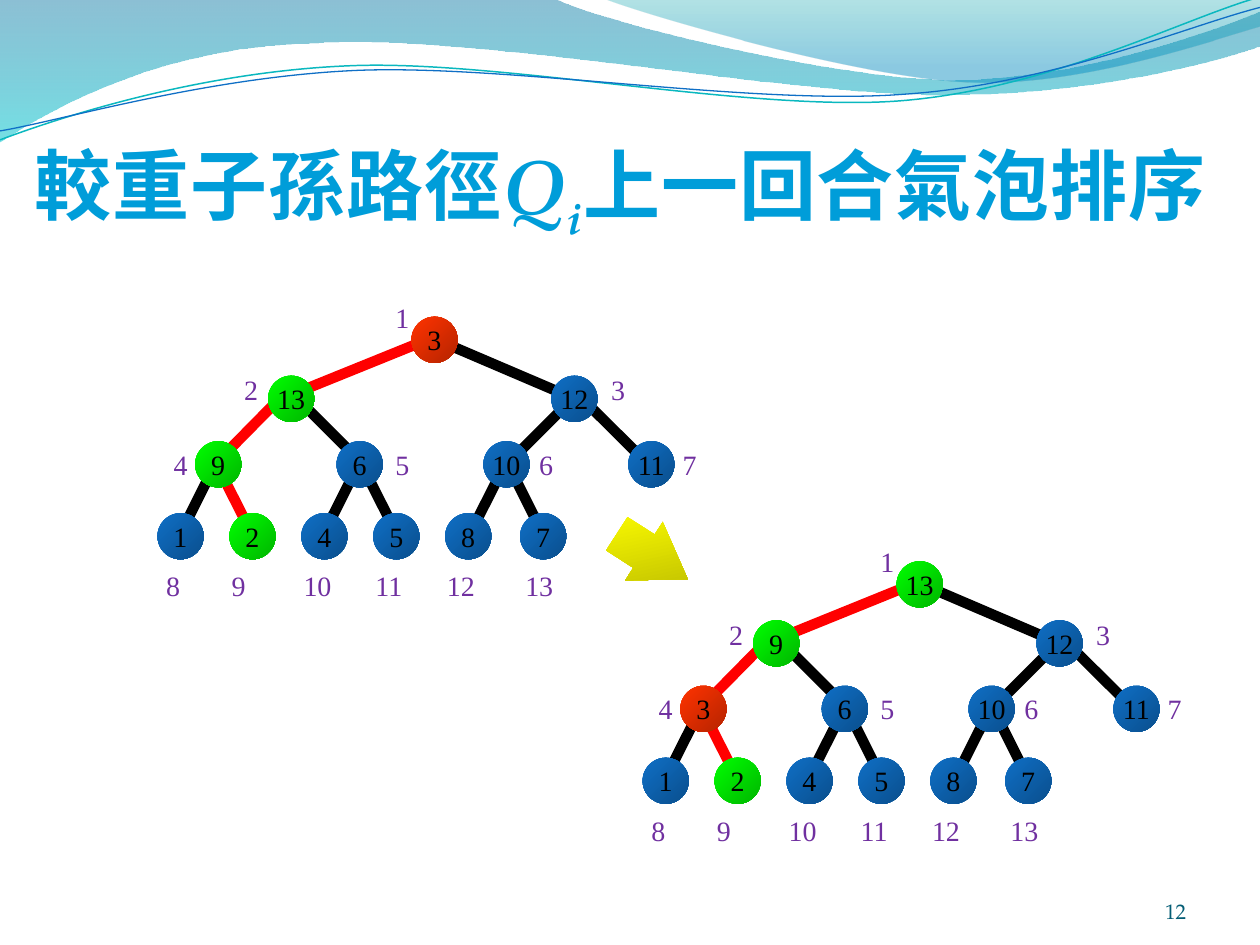
from lxml import etree
from pptx import Presentation
from pptx import util as u
from pptx.dml.color import RGBColor
from pptx.enum import shapes, text
from pptx.oxml.ns import qn

SERIF, TITLE_FONT = "Times New Roman", "TeX Gyre Pagella"
BLUE, GREEN, RED, YELLOW = "0F6FC6", "00FF00", "FF3300", "FFFF00"
PURPLE, BLACK, PATH_RED, SKY = "7030A0", "000000", "FF0000", "009DD9"


def rgb(value):
    return RGBColor.from_string(value)


def write(paragraph, content, size=16, font=SERIF, color=BLACK, bold=False,
          italic=False, align=None, baseline=None, spacing=None):
    run = paragraph.add_run()
    run.text = content
    run.font.size, run.font.name = u.Pt(size), font
    run.font.bold, run.font.italic = bold, italic
    run.font.color.rgb = rgb(color)
    if align is not None:
        paragraph.alignment = align
    for key, value in (("baseline", baseline), ("spc", spacing)):
        if value is not None:
            run.font._element.set(key, str(value))


class Deck:
    def __init__(self, slide):
        self.shapes = slide.shapes

    def gradient(self, shape, colors, angle=45, end=1.0):
        shape.shadow.inherit = False
        shape.line.fill.background()
        shape.fill.gradient()
        shape.fill.gradient_angle = 360 - angle
        for stop, color, position in zip(shape.fill.gradient_stops, colors, (0, end)):
            stop.color.rgb = rgb(color)
            stop.position = position
        return list(shape._element.spPr.iter(qn("a:srgbClr")))

    def shaded(self, shape, color):
        """Gradient from a colour to its darker shade."""
        dark = self.gradient(shape, (color, color))[1]
        etree.SubElement(dark, qn("a:shade")).set("val", "46275")

    def outline(self, path, close):
        """Freeform of lines (x, y) and cubic curves (six numbers)."""
        anchors = [(u.Cm(part[-2]), u.Cm(part[-1])) for part in path]
        builder = self.shapes.build_freeform(*anchors[0], scale=1.0)
        builder.add_line_segments(anchors[1:], close=close)
        shape = builder.convert_to_shape()
        segments = list(shape._element.spPr.iter(qn("a:lnTo")))
        for segment, part in zip(segments, path[1:]):
            if len(part) == 6:
                segment.tag = qn("a:cubicBezTo")
                for i, (x, y) in enumerate((part[:2], part[2:4])):
                    control = etree.Element(qn("a:pt"))
                    control.set("x", str(u.Cm(x) - shape.left))
                    control.set("y", str(u.Cm(y) - shape.top))
                    segment.insert(i, control)
        return shape

    def band(self, path, colors, end, opacity):
        stops = self.gradient(self.outline(path, True), colors, 90, end)
        for stop, percent in zip(stops, opacity):
            etree.SubElement(stop, qn("a:alpha")).set("val", str(percent * 1000))

    def strand(self, path, color, width):
        strand = self.outline(path, False)
        strand.rotation = 357.3
        strand.shadow.inherit = False
        strand.fill.background()
        strand.line.color.rgb, strand.line.width = rgb(color), u.Pt(width)

    def title(self, left, top, width, height, runs):
        title = self.shapes.title
        self.shapes._spTree.append(title._element)  # in front of the waves
        title.left, title.top = u.Cm(left), u.Cm(top)
        title.width, title.height = u.Cm(width), u.Cm(height)
        frame = title.text_frame
        frame.auto_size = text.MSO_AUTO_SIZE.NONE
        frame.vertical_anchor = text.MSO_ANCHOR.BOTTOM
        frame.margin_left = frame.margin_right = frame.margin_bottom = 0
        frame.margin_top = u.Cm(0.13)
        for content, style in runs:
            write(frame.paragraphs[0], content, size=44, font=TITLE_FONT, color=SKY,
                  bold=True, spacing=50, align=text.PP_ALIGN.LEFT, **style)

    def label(self, left, top, content, width, height=0.94, **style):
        box = self.shapes.add_textbox(u.Cm(left), u.Cm(top), u.Cm(width), u.Cm(height))
        box.text_frame.word_wrap = False
        write(box.text_frame.paragraphs[0], content, **style)
        return box.text_frame

    def edge(self, ends, color):
        edge = self.shapes.add_connector(shapes.MSO_CONNECTOR.STRAIGHT, *map(u.Cm, ends))
        edge.line.color.rgb, edge.line.width = rgb(color), u.Pt(6)
        etree.SubElement(edge._element.spPr, qn("a:effectLst"))

    def node(self, x, y, content, color, size=0.93):
        node = self.shapes.add_shape(shapes.MSO_SHAPE.OVAL, u.Cm(x - size / 2),
                                     u.Cm(y - size / 2), u.Cm(size), u.Cm(size))
        self.shaded(node, color)
        node.text_frame.word_wrap = False
        node.text_frame.vertical_anchor = text.MSO_ANCHOR.MIDDLE
        write(node.text_frame.paragraphs[0], content, align=text.PP_ALIGN.CENTER)

    def arrow(self, left, top, width, height, rotation, adjust):
        arrow = self.shapes.add_shape(shapes.MSO_SHAPE.RIGHT_ARROW,
                                      *map(u.Cm, (left, top, width, height)))
        arrow.rotation = rotation
        for i, value in enumerate(adjust):
            arrow.adjustments[i] = value
        self.shaded(arrow, YELLOW)

    def heap(self, dx, dy, keys, bubble):
        """A heap in level order; bubble is the index of the sinking key."""
        for child, (x1, y1, x2, y2) in EDGES.items():
            self.edge((x1 + dx, y1 + dy, x2 + dx, y2 + dy),
                      PATH_RED if child in HEAVY_PATH else BLACK)
        for i, (key, (x, y)) in enumerate(zip(keys, NODES), 1):
            color = RED if i == bubble else GREEN if i in HEAVY_PATH else BLUE
            self.node(x + dx, y + dy, str(key), color)
        for i, (x, y) in enumerate(INDEX_LABELS, 1):
            frame = self.label(x + dx, y + dy, str(i), 0.79 if i < 10 else 1.07,
                               color=PURPLE)
            frame.auto_size = text.MSO_AUTO_SIZE.SHAPE_TO_FIT_TEXT


# Heap geometry in cm: node centres and index labels, level by level
def levels(rows):
    return [(x, y) for y, xs in rows for x in xs]


NODES = levels([(6.85, [8.76]), (8.04, [5.87, 11.58]),
                (9.36, [4.4, 7.25, 10.21, 13.13]),
                (10.81, [3.64, 5.09, 6.54, 7.99, 9.44, 10.95])])
INDEX_LABELS = levels([(5.93, [7.72]), (7.39, [4.67, 12.07]),
                       (8.89, [3.25, 7.72, 10.62, 13.51]),
                       (11.34, [3.1, 4.42, 5.87, 7.32, 8.76, 10.34])])
HEAVY_PATH = {1, 2, 4, 9}

# Edges by child index; the leaves hang 0.79 cm to either side of their parent
EDGES = {child: (x, 9.3, x + side * 0.79, 10.87)
         for child, x, side in ((13, 10.21, 1), (8, 4.37, -1), (10, 7.26, -1),
                                (12, 10.21, -1), (11, 7.26, 1), (9, 4.34, 1))}
EDGES.update({5: (5.94, 7.98, 7.26, 9.3), 7: (11.73, 8.03, 13.06, 9.35),
              6: (11.53, 8.05, 10.21, 9.37), 4: (5.69, 7.98, 4.39, 9.3),
              3: (8.71, 6.81, 11.73, 8.1), 2: (8.71, 6.81, 5.82, 7.98)})

# Wave outlines in cm
LEFT_WAVE = [(0, 0), (11.18, -0.03), (12.09, 0.43, 16.87, 1.6, 19.25, 1.6),
             (21.67, 1.6, 24.33, 0.66, 25.4, 0.23), (25.43, 0.91),
             (24.97, 1.12, 22.1, 1.93, 18.95, 1.91),
             (15.8, 1.91, 9.7, 0.71, 6.53, 0.86),
             (3.28, 0.91, 1.17, 2.11, -0.03, 2.87)]
RIGHT_WAVE = [(12.17, -0.03), (12.93, 0.28, 17.32, 1.57, 19.53, 1.65),
              (21.74, 1.75, 24.41, 0.81, 25.4, 0.53), (25.4, 0)]
TEAL_STRAND = [(-0.05, 2.22), (1.19, 1.82, 4.02, 1.04, 7.05, 1.06),
               (10.05, 1.07, 15.02, 2.37, 18.08, 2.29),
               (21.13, 2.2, 23.87, 0.91, 25.41, 0.55)]
BLUE_STRAND = [(-0.04, 2.04), (1.16, 1.9, 4.18, 1.15, 7.2, 1.16),
               (10.25, 1.18, 15.13, 2.25, 18.19, 2.16),
               (21.21, 2.1, 23.93, 1.06, 25.45, 0.75)]


def main():
    prs = Presentation()
    prs.slide_width, prs.slide_height = u.Cm(25.4), u.Cm(19.05)
    deck = Deck(prs.slides.add_slide(prs.slide_layouts[5]))

    # Waves at the top
    deck.band(LEFT_WAVE, ("0074A1", "00C6CF"), 1.0, (45, 55))
    deck.band(RIGHT_WAVE, ("00A1A9", "008BBF"), 0.8, (30, 45))
    deck.strand(TEAL_STRAND, "0AB8BF", 0.85)
    deck.strand(BLUE_STRAND, "0F6FC6", 0.75)

    # Slide number and title
    number = deck.label(18.63, 17.35, "12", 5.28, 1.27, size=12, font=TITLE_FONT,
                        color="045D75", align=text.PP_ALIGN.RIGHT)
    number.word_wrap = True
    number.vertical_anchor = text.MSO_ANCHOR.BOTTOM
    number.margin_left = number.margin_right = number.margin_top = number.margin_bottom = 0
    deck.title(0.7, 0.91, 24.2, 3.99, [
        ("較重子孫路徑", {}), ("Q", {"italic": True}),
        ("i", {"italic": True, "baseline": -25000}), ("上一回合氣泡排序", {})])

    # Heap before and after the round
    deck.heap(0, 0, [3, 13, 12, 9, 6, 10, 11, 1, 2, 4, 5, 8, 7], bubble=1)
    deck.arrow(12.3, 10.52, 1.7, 1.4, 32.7, (0.57, 0.75))
    deck.heap(9.78, 4.93, [13, 9, 12, 3, 6, 10, 11, 1, 2, 4, 5, 8, 7], bubble=4)

    prs.save("out.pptx")


if __name__ == "__main__":
    main()
